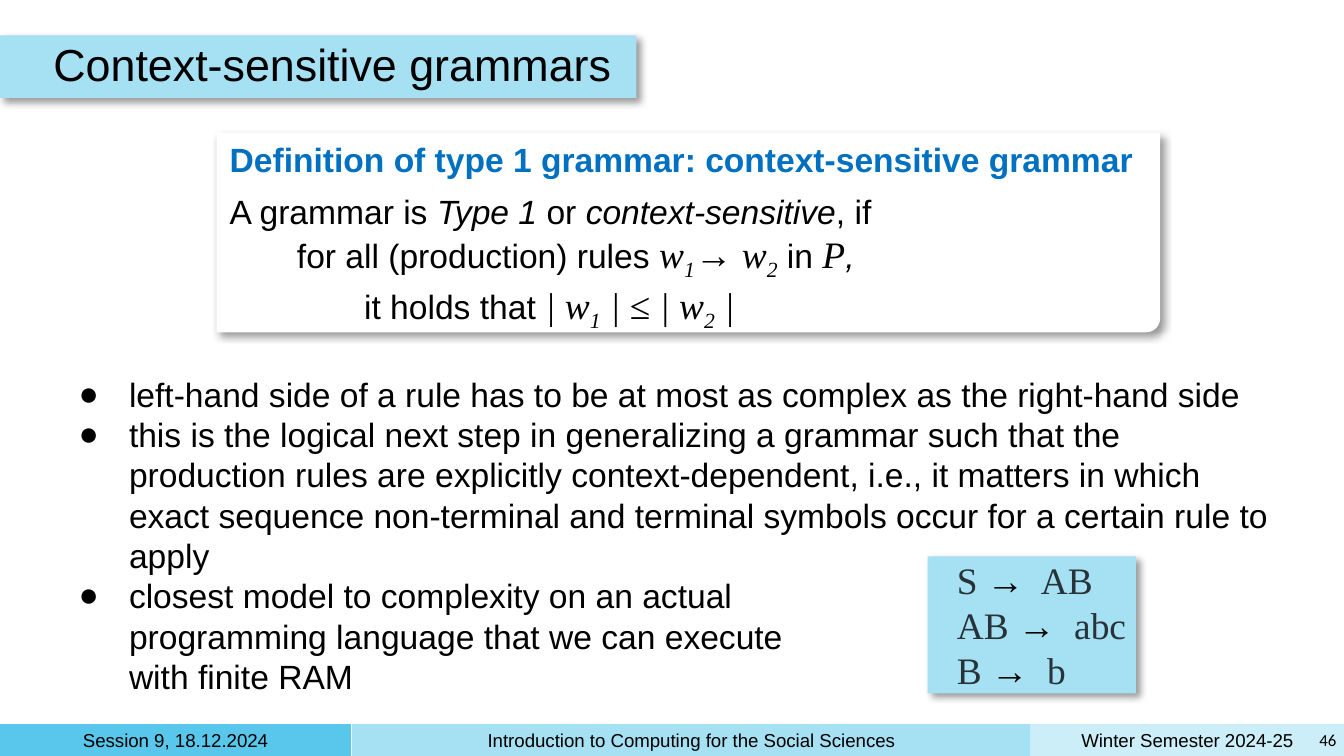
from lxml import etree
from pptx import Presentation
from pptx.dml.color import RGBColor
from pptx.enum import shapes, text
from pptx.oxml import parse_xml
from pptx.util import Pt

NS = "http://schemas.openxmlformats.org/drawingml/2006/main"
BLACK, SLATE, BLUE, SKY = "000000", "273239", "0070C0", "A5E0F3"
SHADOW = (f'<a:effectLst xmlns:a="{NS}"><a:outerShdw blurRad="50800" dist="38100" '
          'dir="2700000" algn="tl" rotWithShape="0"><a:srgbClr val="000000">'
          '<a:alpha val="40000"/></a:srgbClr></a:outerShdw></a:effectLst>')


def paint(shape, color, shadow=False):
    shape.shadow.inherit = False
    shape.fill.solid()
    shape.fill.fore_color.rgb = RGBColor.from_string(color)
    shape.line.fill.background()
    if shadow:
        properties = shape.element.spPr
        properties.remove(properties.find(f"{{{NS}}}effectLst"))
        properties.append(parse_xml(SHADOW))


def write(box, paragraphs, anchor=text.MSO_ANCHOR.TOP, **layout):
    """Fill a box; each paragraph is a list of (text, format) pairs."""
    frame = box.text_frame
    settings = dict(word_wrap=True, auto_size=text.MSO_AUTO_SIZE.NONE, vertical_anchor=anchor,
                    margin_left=Pt(3.6), margin_right=Pt(3.6),
                    margin_top=Pt(3.6), margin_bottom=Pt(3.6))
    for name, value in settings.items():
        setattr(frame, name, value)
    for number, spans in enumerate(paragraphs):
        para = frame.add_paragraph() if number else frame.paragraphs[0]
        for name, value in {"alignment": text.PP_ALIGN.LEFT, "space_before": Pt(0), **layout}.items():
            setattr(para, name, value)
        for words, style in spans:
            style = dict(style)
            color, base = style.pop("color", BLACK), style.pop("base", None)
            for line_number, line in enumerate(words.split("\n")):
                if line_number:
                    para.add_line_break()
                if not line:
                    continue
                span = para.add_run()
                span.text = line
                for name, value in style.items():
                    setattr(span.font, name, value)
                span.font.color.rgb = RGBColor.from_string(color)
                if base:
                    span.font._element.set("baseline", str(base))


deck = Presentation()
deck.slide_width, deck.slide_height = Pt(720), Pt(405)
page = deck.slides.add_slide(deck.slide_layouts[1])
title, body = page.placeholders
layers = title.element.getparent()

PLAIN = dict(name="Arial", size=Pt(18))
ITALIC = dict(PLAIN, italic=True)
HEADING = dict(PLAIN, bold=True, color=BLUE)
MATH = dict(name="Times New Roman", size=Pt(20), italic=True)
SUB = dict(MATH, base=-25000)
SYMBOL = dict(MATH, italic=False, color=SLATE)
SMALL = dict(name="Arial", size=Pt(10))

# Footer bar
for left, width, color, label in [
    (552, 168, "CCEEF9", "Winter Semester 2024-25"),
    (0, 188, "59C7EB", "Session 9, 18.12.2024"),
    (188.5, 363.5, SKY, "Introduction to Computing for the Social Sciences"),
]:
    segment = page.shapes.add_shape(shapes.MSO_SHAPE.RECTANGLE, Pt(left), Pt(388), Pt(width), Pt(17))
    paint(segment, color)
    write(segment, [[(label, SMALL)]], text.MSO_ANCHOR.MIDDLE, alignment=text.PP_ALIGN.CENTER)
page_number = page.shapes.add_textbox(Pt(702), Pt(387.5), Pt(17.5), Pt(18))
write(page_number, [[("46", dict(name="Calibri", size=Pt(9)))]],
      text.MSO_ANCHOR.MIDDLE, alignment=text.PP_ALIGN.RIGHT)

# Panel behind the example rules
rules_panel = page.shapes.add_shape(shapes.MSO_SHAPE.RECTANGLE, Pt(497), Pt(298), Pt(111.5), Pt(73.5))
paint(rules_panel, SKY, shadow=True)

# Definition card with one rounded corner
left, top, right, bottom, radius = 116, 71, 621.5, 178, 7.5
corner = [(1, 0), (0.97, 0.26), (0.87, 0.5), (0.71, 0.71), (0.5, 0.87), (0.26, 0.97), (0, 1)]
outline = [(right, top)] + [(right - radius + radius * x, bottom - radius + radius * y)
                            for x, y in corner] + [(left, bottom)]
builder = page.shapes.build_freeform(Pt(left), Pt(top))
builder.add_line_segments([(Pt(x), Pt(y)) for x, y in outline], close=True)
paint(builder.convert_to_shape(), "FFFFFF", shadow=True)

definition = page.shapes.add_textbox(Pt(119.5), Pt(71), Pt(540), Pt(105))
write(definition, [
    [("Definition of type 1 grammar: context-sensitive grammar", HEADING)],
    [("A grammar is ", PLAIN), ("Type 1", ITALIC), (" or ", PLAIN), ("context-sensitive", ITALIC),
     (", if \n\tfor all (production) rules ", PLAIN),
     ("w", MATH), ("1", SUB), ("→ w", MATH), ("2", SUB), (" in ", PLAIN), ("P", MATH),
     (", \n\t\t", ITALIC), ("it holds that ", PLAIN),
     ("| w", MATH), ("1", SUB), (" | ≤ | w", MATH), ("2", SUB), (" |", MATH)],
])
definition.text_frame.paragraphs[1].space_before = Pt(6)

# Bulleted list
body.left, body.top, body.width, body.height = Pt(29.5), Pt(196.5), Pt(661.5), Pt(181.5)
for element in (body.element,):
    layers.append(element)
points = [
    "left-hand side of a rule has to be at most as complex as the right-hand side",
    "this is the logical next step in generalizing a grammar such that the production rules are "
    "explicitly context-dependent, i.e., it matters in which exact sequence non-terminal and "
    "terminal symbols occur for a certain rule to apply",
    "closest model to complexity on an actual \nprogramming language that we can execute\nwith finite RAM",
]
write(body, [[(point, PLAIN)] for point in points])
for para in body.text_frame.paragraphs:
    marks = para._p.get_or_add_pPr()
    marks.set("marL", str(Pt(36)))
    marks.set("indent", str(-Pt(27)))
    color = etree.SubElement(marks, f"{{{NS}}}buClr")
    etree.SubElement(color, f"{{{NS}}}srgbClr", val=BLACK)
    etree.SubElement(marks, f"{{{NS}}}buChar", char="●")

# Title on its band
band = page.shapes.add_shape(shapes.MSO_SHAPE.RECTANGLE, 0, Pt(19), Pt(341), Pt(33.5))
paint(band, SKY, shadow=True)
title.left, title.top, title.width, title.height = Pt(25), Pt(19), Pt(619), Pt(33.5)
layers.append(title.element)
write(title, [[("Context-sensitive grammars", dict(PLAIN, size=Pt(24)))]],
      text.MSO_ANCHOR.MIDDLE, line_spacing=0.9)

# Example rules
rules = page.shapes.add_textbox(Pt(509), Pt(295), Pt(135.5), Pt(80))
write(rules, [[(source, SYMBOL), ("→ ", MATH), (target, SYMBOL)] for source, target in
              [("S ", " AB\u00a0"), ("AB ", " abc\u00a0"), ("B ", " b")]])

deck.save("out.pptx")
